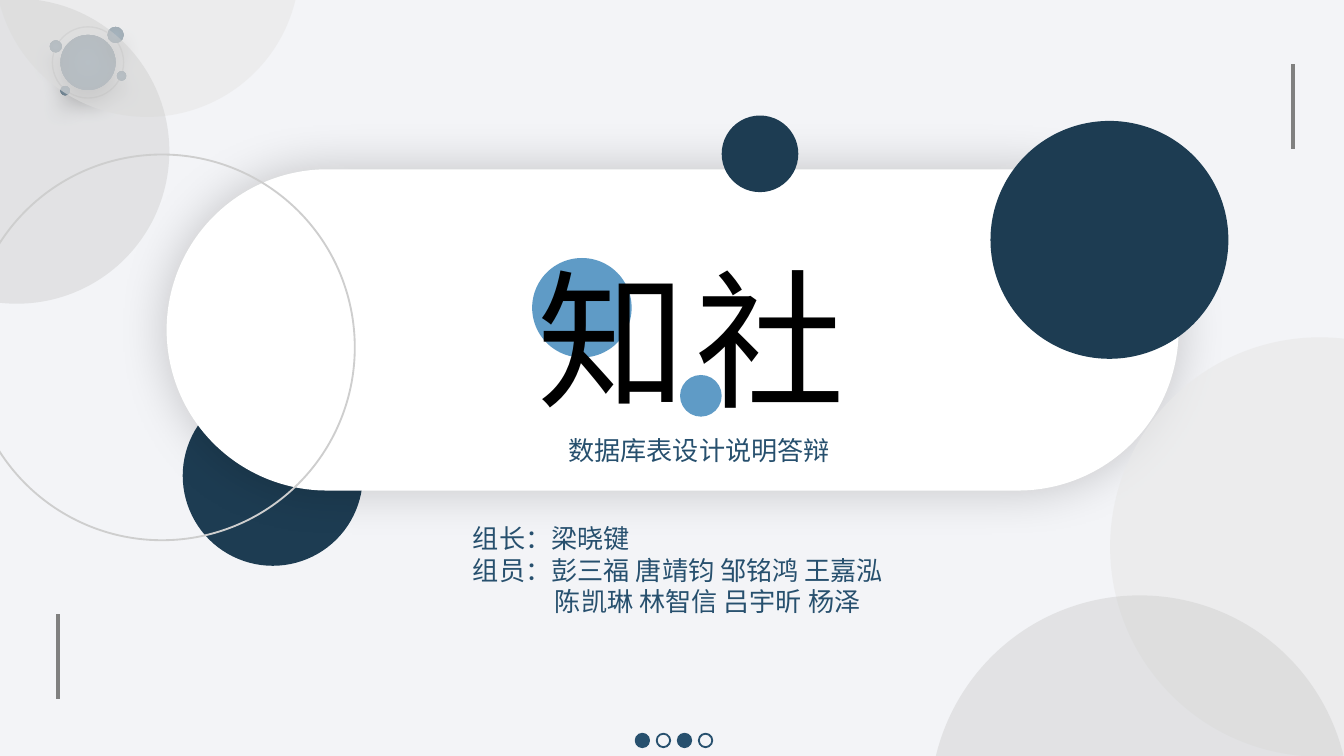
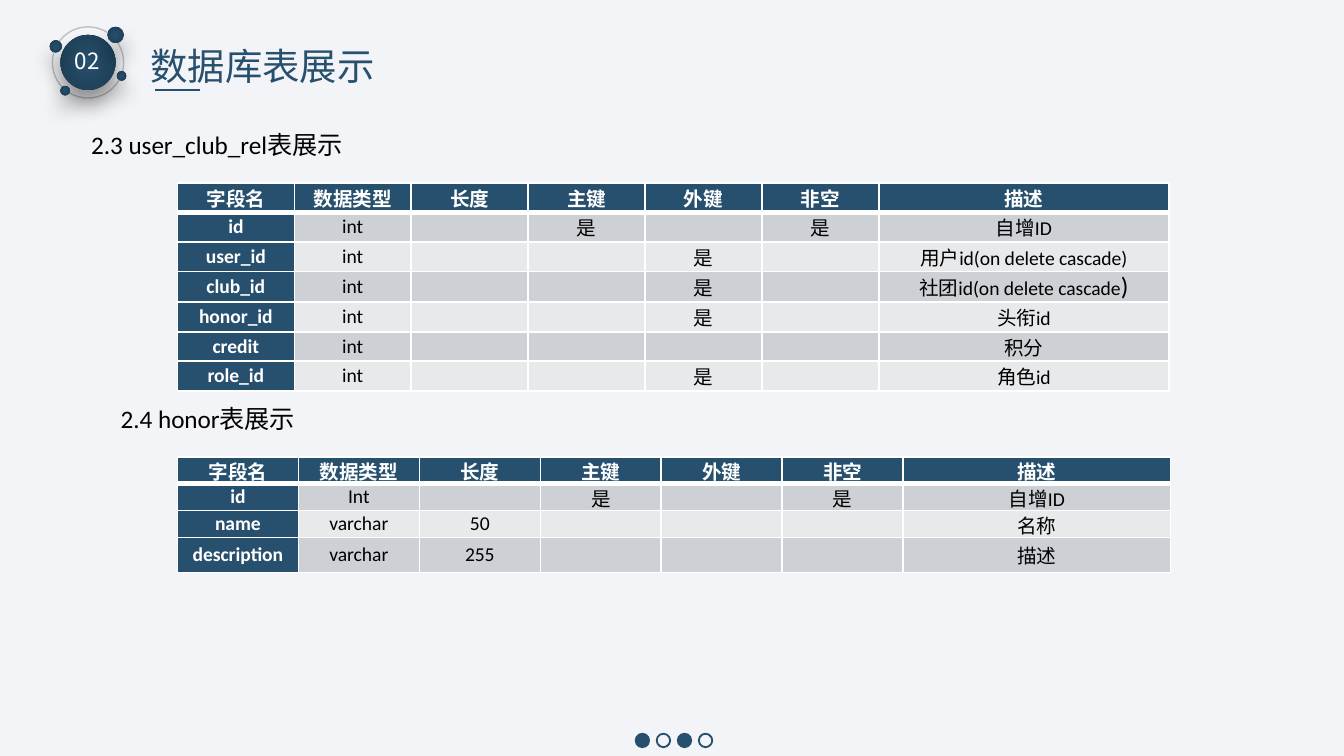
from dataclasses import dataclass
from typing import Optional

from lxml.etree import SubElement
from pptx import Presentation
from pptx.dml.color import RGBColor
from pptx.enum.shapes import MSO_CONNECTOR, MSO_SHAPE
from pptx.enum.text import MSO_ANCHOR, MSO_AUTO_SIZE, PP_ALIGN
from pptx.oxml.ns import qn
from pptx.shapes.autoshape import Shape
from pptx.slide import Slide
from pptx.table import Table
from pptx.text.text import _Paragraph, _Run
from pptx.util import Inches, Pt

NAVY, DEEP_NAVY, SKY = "27506E", "1D3C52", "5F9BC6"
WHITE, BLACK, PAPER = "FFFFFF", "000000", "F3F4F7"
PALE, SILVER, RING, RULE = "E9E9E9", "CECECE", "BFBFBF", "808080"
BANDS = ("CDD0D5", "E8E9EB")
LATIN, CJK, CJK_TITLE = "Calibri", "Noto Sans CJK SC", "Noto Sans CJK JP"
HEADINGS = ("字段名", "数据类型", "长度", "主键", "外键", "非空", "描述")
CELL_SIZE, SECTION_SIZE = 10.5, 13.5


@dataclass(frozen=True)
class Shadow:
    """Soft shadow falling straight down, in percent and points."""

    opacity: int
    blur: float
    distance: float


@dataclass(frozen=True)
class Disc:
    """Circle with its place, size and finish."""

    left: float
    top: float
    size: float
    fill: Optional[str] = None
    line: Optional[str] = None
    line_width: float = 1
    opacity: int = 100
    glow_to: Optional[str] = None
    shadow: Optional[Shadow] = None


@dataclass(frozen=True)
class Caption:
    """Text box with one style for all its lines."""

    left: float
    top: float
    width: float
    height: float
    lines: tuple[str, ...]
    size: float
    color: str = NAVY
    latin: str = LATIN
    asian: str = CJK
    wrap: bool = False
    align: Optional[PP_ALIGN] = None
    tracking: float = 0


@dataclass(frozen=True)
class Schema:
    """Field listing of one database table."""

    top: float
    column_widths: tuple[float, ...]
    row_heights: tuple[float, ...]
    fields: tuple[tuple[str, ...], ...]


def badge_bead(left: float, top: float, size: float) -> Disc:
    """Return one shaded bead of the corner badge."""
    return Disc(left, top, size, NAVY, glow_to=DEEP_NAVY, shadow=Shadow(40, 11, 8))


BADGE = (
    Disc(0.39, 0.2, 0.53, line=RING, line_width=0.75),
    badge_bead(0.45, 0.26, 0.41),
    badge_bead(0.8, 0.2, 0.12),
    badge_bead(0.37, 0.3, 0.09),
    badge_bead(0.45, 0.64, 0.07),
    badge_bead(0.87, 0.53, 0.07),
)
PAGE_DOTS = tuple(
    Disc(4.73 + i * 0.47 / 3, 5.46, 0.1, None if i % 2 else NAVY, NAVY)
    for i in range(4)
)
COVER_DISCS = (
    Disc(5.37, 0.86, 0.57, DEEP_NAVY),
    Disc(-0.23, 1.15, 2.87, line=SILVER),
    Disc(8.26, 2.51, 3.12, PALE, opacity=65),
    Disc(6.92, 4.43, 3.12, SILVER, opacity=46),
    Disc(7.37, 0.9, 1.77, DEEP_NAVY),
    Disc(3.96, 1.92, 0.74, SKY),
    Disc(5.06, 2.79, 0.31, SKY),
)
CORNER_DISCS = (
    Disc(-0.04, -1.4, 2.27, PALE, opacity=65),
    Disc(-1.01, -0.01, 2.27, SILVER, opacity=46),
)
USER_CLUB_REL = Schema(
    1.36,
    (0.87,) * 6 + (2.16,),
    (0.22,) * 3 + (0.23,) + (0.22,) * 3,
    (
        ("id", "int", "", "是", "", "是", "自增ID"),
        ("user_id", "int", "", "", "是", "", "用户id(on delete cascade)"),
        ("club_id", "int", "", "", "是", "", "社团id(on delete cascade"),
        ("honor_id", "int", "", "", "是", "", "头衔id"),
        ("credit", "int", "", "", "", "", "积分"),
        ("role_id", "int", "", "", "是", "", "角色id"),
    ),
)
HONOR = Schema(
    3.4,
    (0.9,) * 6 + (1.99,),
    (0.2, 0.2, 0.2, 0.26),
    (
        ("id", "Int", "", "是", "", "是", "自增ID"),
        ("name", "varchar", "50", "", "", "", "名称"),
        ("description", "varchar", "255", "", "", "", "描述"),
    ),
)


def rgb(color: str) -> RGBColor:
    """Turn a hex string into a colour."""
    return RGBColor.from_string(color)


def style_run(run: _Run, size: float, color: str, latin: str = LATIN,
              asian: str = CJK, bold: bool = False, tracking: float = 0) -> None:
    """Format one run of text."""
    run.font.size = Pt(size)
    run.font.bold = bold
    run.font.name = latin
    run.font.color.rgb = rgb(color)
    properties = run.font._element
    SubElement(properties, qn("a:ea")).set("typeface", asian)
    if tracking:
        properties.set("spc", str(round(tracking * 100)))


def cast_shadow(shape: Shape, shadow: Shadow) -> None:
    """Give a shape a soft shadow."""
    effects = shape._element.spPr.find(qn("a:effectLst"))
    outer = SubElement(effects, qn("a:outerShdw"), blurRad=str(Pt(shadow.blur)),
                       dist=str(Pt(shadow.distance)), dir="5400000",
                       algn="ctr", rotWithShape="0")
    tint = SubElement(outer, qn("a:srgbClr"), val=BLACK)
    SubElement(tint, qn("a:alpha"), val=str(shadow.opacity * 1000))


def fill_radially(shape: Shape, center: str, edge: str) -> None:
    """Fill a shape with a gradient running out from its centre."""
    shape.fill.gradient()
    for stop, color in zip(shape.fill.gradient_stops, (center, edge)):
        stop.color.rgb = rgb(color)
    gradient = shape._element.spPr.find(qn("a:gradFill"))
    gradient.remove(gradient.find(qn("a:lin")))
    circle = SubElement(gradient, qn("a:path"), path="circle")
    SubElement(circle, qn("a:fillToRect"), l="50000", t="50000", r="50000", b="50000")


def draw_disc(slide: Slide, disc: Disc) -> None:
    """Draw one circle."""
    shape = slide.shapes.add_shape(MSO_SHAPE.OVAL, Inches(disc.left), Inches(disc.top),
                                   Inches(disc.size), Inches(disc.size))
    shape.shadow.inherit = False
    if disc.fill and disc.glow_to:
        fill_radially(shape, disc.fill, disc.glow_to)
    elif disc.fill:
        shape.fill.solid()
        shape.fill.fore_color.rgb = rgb(disc.fill)
        if disc.opacity < 100:
            tint = shape._element.spPr.find(qn("a:solidFill"))[0]
            SubElement(tint, qn("a:alpha"), val=str(disc.opacity * 1000))
    else:
        shape.fill.background()
    if disc.line:
        shape.line.color.rgb = rgb(disc.line)
        shape.line.width = Pt(disc.line_width)
    else:
        shape.line.fill.background()
    if disc.shadow:
        cast_shadow(shape, disc.shadow)


def draw_discs(slide: Slide, discs: tuple[Disc, ...]) -> None:
    """Draw circles from back to front."""
    for disc in discs:
        draw_disc(slide, disc)


def draw_rule(slide: Slide, start: tuple[float, float], end: tuple[float, float],
              color: str, width: float) -> None:
    """Draw a straight line."""
    rule = slide.shapes.add_connector(MSO_CONNECTOR.STRAIGHT, *map(Inches, start + end))
    rule.line.color.rgb = rgb(color)
    rule.line.width = Pt(width)
    SubElement(rule._element.spPr, qn("a:effectLst"))


def write_caption(slide: Slide, caption: Caption) -> list[_Paragraph]:
    """Write a text box and return its paragraphs."""
    box = slide.shapes.add_textbox(Inches(caption.left), Inches(caption.top),
                                   Inches(caption.width), Inches(caption.height))
    frame = box.text_frame
    frame.word_wrap = caption.wrap
    frame.auto_size = MSO_AUTO_SIZE.SHAPE_TO_FIT_TEXT
    frame.text = "\n".join(caption.lines)
    for paragraph in frame.paragraphs:
        paragraph.alignment = caption.align
        for run in paragraph.runs:
            style_run(run, caption.size, caption.color, caption.latin, caption.asian,
                      tracking=caption.tracking)
    return list(frame.paragraphs)


def draw_schema(slide: Slide, schema: Schema) -> Table:
    """Draw a field listing with a dark header row and first column."""
    rows = (HEADINGS,) + schema.fields
    table = slide.shapes.add_table(
        len(rows), len(HEADINGS), Inches(1.32), Inches(schema.top),
        Inches(sum(schema.column_widths)), Inches(sum(schema.row_heights))).table
    for column, width in zip(table.columns, schema.column_widths):
        column.width = Inches(width)
    for i, (row, height) in enumerate(zip(rows, schema.row_heights)):
        table.rows[i].height = Inches(height)
        for j, entry in enumerate(row):
            cell, dark = table.cell(i, j), i == 0 or j == 0
            cell.margin_left = cell.margin_right = Inches(0.07)
            cell.margin_top = cell.margin_bottom = Inches(0)
            cell.vertical_anchor = MSO_ANCHOR.MIDDLE
            for side in ("lnL", "lnR", "lnT", "lnB"):
                heavy = (i == 0 and side == "lnB") or (i == 1 and side == "lnT")
                border = SubElement(cell._tc.tcPr, qn(f"a:{side}"), w=str(Pt(3 if heavy else 1)))
                SubElement(SubElement(border, qn("a:solidFill")), qn("a:srgbClr"), val=WHITE)
            cell.fill.solid()
            cell.fill.fore_color.rgb = rgb(NAVY if dark else BANDS[(i - 1) % 2])
            paragraph = cell.text_frame.paragraphs[0]
            paragraph.text = entry
            paragraph.alignment = PP_ALIGN.CENTER
            for run in paragraph.runs:
                style_run(run, CELL_SIZE, WHITE if dark else BLACK, bold=dark)
            if not entry:
                SubElement(paragraph._p, qn("a:endParaRPr"), sz=str(round(CELL_SIZE * 100)))
    return table


def start_slide(deck: Presentation) -> Slide:
    """Add a slide with the shared paper, badge and page dots."""
    slide = deck.slides.add_slide(deck.slide_layouts[6])
    slide.background.fill.solid()
    slide.background.fill.fore_color.rgb = rgb(PAPER)
    draw_discs(slide, BADGE + PAGE_DOTS)
    return slide


def build_cover(deck: Presentation) -> None:
    """Build the cover with the project name and the team."""
    slide = start_slide(deck)
    draw_disc(slide, Disc(1.36, 2.87, 1.34, DEEP_NAVY))
    panel = slide.shapes.add_shape(MSO_SHAPE.ROUNDED_RECTANGLE, Inches(1.24), Inches(1.26),
                                   Inches(7.53), Inches(2.39))
    panel.adjustments[0] = 0.5
    panel.shadow.inherit = False
    panel.fill.solid()
    panel.fill.fore_color.rgb = rgb(WHITE)
    panel.line.fill.background()
    cast_shadow(panel, Shadow(20, 27, 0))
    draw_discs(slide, COVER_DISCS)
    draw_rule(slide, (9.62, 0.48), (9.62, 1.11), RULE, 2.25)
    draw_rule(slide, (0.43, 4.57), (0.43, 5.2), RULE, 2.25)
    draw_discs(slide, CORNER_DISCS)
    write_caption(slide, Caption(2.92, 1.79, 4.45, 1.45, ("知社",), 80, BLACK, CJK_TITLE,
                                 CJK_TITLE, True, PP_ALIGN.CENTER, 4.5))
    team = write_caption(slide, Caption(3.42, 3.84, 3.28, 0.81, (
        "组长：梁晓键", "组员：彭三福 唐靖钧 邹铭鸿 王嘉泓", "陈凯琳 林智信 吕宇昕 杨泽"), 14))
    team[-1]._p.get_or_add_pPr().set("marL", str(Inches(0.61)))
    write_caption(slide, Caption(4.13, 3.18, 2.17, 0.34, ("数据库表设计说明答辩",), 14))


def build_schemas(deck: Presentation) -> None:
    """Build the slide that lists two database tables."""
    slide = start_slide(deck)
    write_caption(slide, Caption(1.02, 0.27, 1.88, 0.44, ("数据库表展示",), 20, latin=CJK))
    draw_rule(slide, (1.15, 0.67), (1.49, 0.67), NAVY, 1.5)
    write_caption(slide, Caption(0.46, 0.3, 0.4, 0.3, ("02",), 12, WHITE, CJK))
    write_caption(slide, Caption(0.58, 0.91, 2.33, 0.33, ("2.3 user_club_rel表展示",),
                                 SECTION_SIZE, BLACK, wrap=True))
    user_club_rel = draw_schema(slide, USER_CLUB_REL)
    closing = user_club_rel.cell(3, 6).text_frame.paragraphs[0].add_run()
    closing.text = ")"
    style_run(closing, SECTION_SIZE, BLACK)
    write_caption(slide, Caption(0.8, 2.95, 2.33, 0.33, ("2.4 honor表展示",),
                                 SECTION_SIZE, BLACK, wrap=True))
    draw_schema(slide, HONOR)


def main() -> None:
    """Build and save the deck."""
    deck = Presentation()
    deck.slide_width = Inches(10)
    deck.slide_height = Inches(10 * 9 / 16)
    build_cover(deck)
    build_schemas(deck)
    deck.save("out.pptx")


if __name__ == "__main__":
    main()
